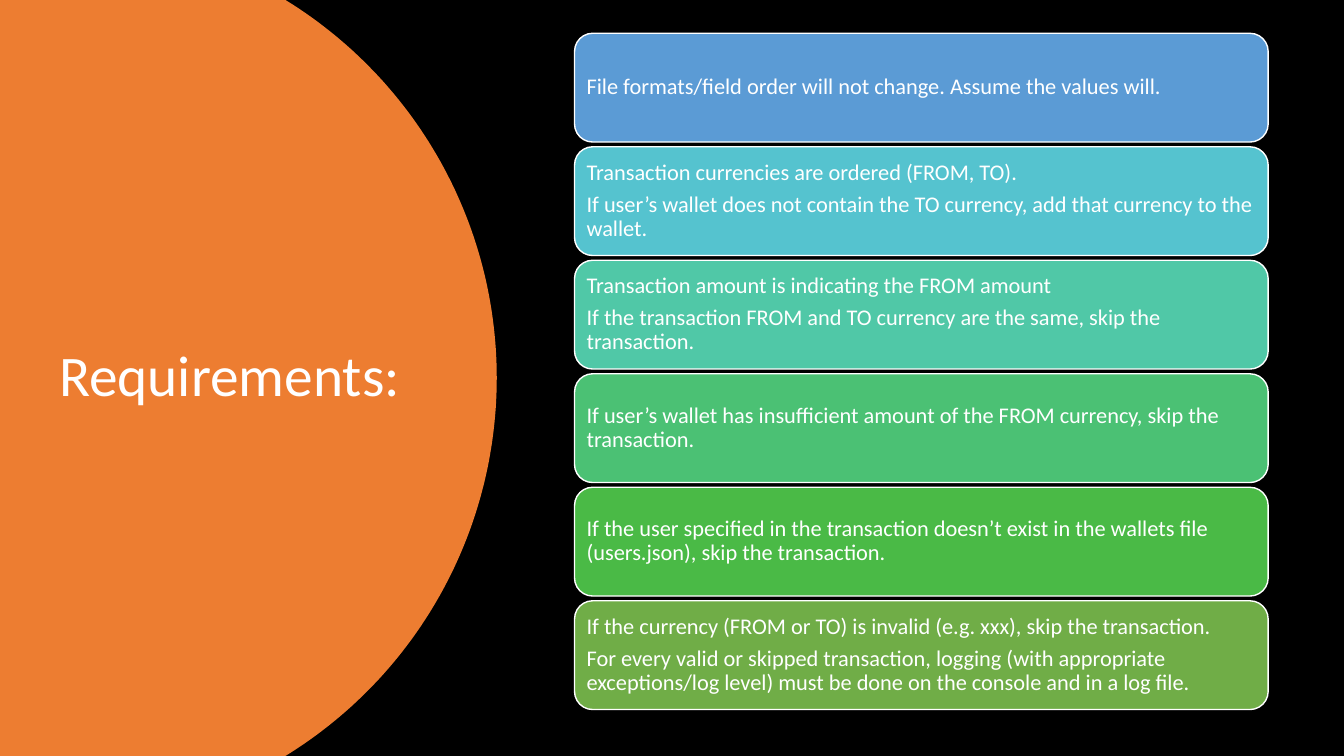
import math

from pptx import Presentation
from pptx.dml.color import RGBColor
from pptx.enum.shapes import MSO_SHAPE
from pptx.enum.text import MSO_ANCHOR, PP_ALIGN
from pptx.util import Cm, Pt

ROUNDED = MSO_SHAPE.ROUNDED_RECTANGLE
MIDDLE = MSO_ANCHOR.MIDDLE
LEFT, CENTER = PP_ALIGN.LEFT, PP_ALIGN.CENTER

FONT = "Calibri"
SLIDE_WIDTH, SLIDE_HEIGHT = 33.87, 19.05
COLORS = {"background": "000000", "panel": "ED7D31", "text": "FFFFFF", "outline": "FFFFFF"}

REQUIREMENTS = [
    ("5B9BD5", ["File formats/field order will not change. Assume the values will."]),
    ("55C3CF", ["Transaction currencies are ordered (FROM, TO).",
                "If user’s wallet does not contain the TO currency, "
                "add that currency to the wallet."]),
    ("50C8A7", ["Transaction amount is indicating the FROM amount",
                "If the transaction FROM and TO currency are the same, skip the transaction."]),
    ("4BC174", ["If user’s wallet has insufficient amount of the FROM currency, "
                "skip the transaction."]),
    ("4ABA46", ["If the user specified in the transaction doesn’t exist in the wallets file "
                "(users.json), skip the transaction."]),
    ("70AD47", ["If the currency (FROM or TO) is invalid (e.g. xxx), skip the transaction.",
                "For every valid or skipped transaction, logging (with appropriate "
                "exceptions/log level) must be done on the console and in a log file."]),
]


def write_paragraphs(frame, texts, size, alignment, space_after=0):
    frame.word_wrap = True
    frame.vertical_anchor = MIDDLE
    for index, text in enumerate(texts):
        paragraph = frame.paragraphs[0] if index == 0 else frame.add_paragraph()
        paragraph.alignment = alignment
        paragraph.line_spacing = 0.9
        paragraph.space_after = Pt(space_after)
        run = paragraph.add_run()
        run.text = text
        run.font.name = FONT
        run.font.size = Pt(size)
        run.font.color.rgb = RGBColor.from_string(COLORS["text"])


def add_title_panel(slide, left, top, width, height, title):
    """Draw a panel whose right side is a circular arc, with the title on it."""
    radius = 11.18
    center_x, center_y = left + width - radius, top + height / 2
    sweep = math.asin(height / 2 / radius)
    steps = 120
    angles = [sweep * (2 * step / steps - 1) for step in range(steps + 1)]
    arc = [(Cm(center_x + radius * math.cos(angle)), Cm(center_y + radius * math.sin(angle)))
           for angle in angles]
    builder = slide.shapes.build_freeform(Cm(left), Cm(top))
    builder.add_line_segments(arc + [(Cm(left), Cm(top + height))], close=True)
    panel = builder.convert_to_shape()
    panel.shadow.inherit = False
    panel.fill.solid()
    panel.fill.fore_color.rgb = RGBColor.from_string(COLORS["panel"])
    panel.line.fill.background()

    title_box = slide.shapes.add_textbox(
        Cm(left + 1.04), Cm(top + 1.78), Cm(width - 3.02), Cm(height - 3.58))
    write_paragraphs(title_box.text_frame, [title], 41, CENTER)


def add_requirement_list(slide, left, top, width, height, requirements):
    gap = 0.12
    card_height = (height - gap * (len(requirements) - 1)) / len(requirements)
    for index, (color, texts) in enumerate(requirements):
        card_top = top + index * (card_height + gap)
        card = slide.shapes.add_shape(
            ROUNDED, Cm(left), Cm(card_top), Cm(width), Cm(card_height))
        card.shadow.inherit = False
        card.fill.solid()
        card.fill.fore_color.rgb = RGBColor.from_string(color)
        card.line.color.rgb = RGBColor.from_string(COLORS["outline"])
        card.line.width = Pt(1)
        frame = card.text_frame
        frame.margin_left = frame.margin_right = Cm(0.17)
        frame.margin_top = frame.margin_bottom = Cm(0.17)
        write_paragraphs(frame, texts, 16, LEFT, space_after=5.6)


def main():
    presentation = Presentation()
    presentation.slide_width = Cm(SLIDE_WIDTH)
    presentation.slide_height = Cm(SLIDE_HEIGHT)
    slide = presentation.slides.add_slide(presentation.slide_layouts[6])
    slide.background.fill.solid()
    slide.background.fill.fore_color.rgb = RGBColor.from_string(COLORS["background"])
    add_title_panel(slide, 0, 0, 12.52, SLIDE_HEIGHT, "Requirements:")
    add_requirement_list(slide, 14.48, 0.84, 17.48, 17.04, REQUIREMENTS)
    presentation.save("out.pptx")


if __name__ == "__main__":
    main()
